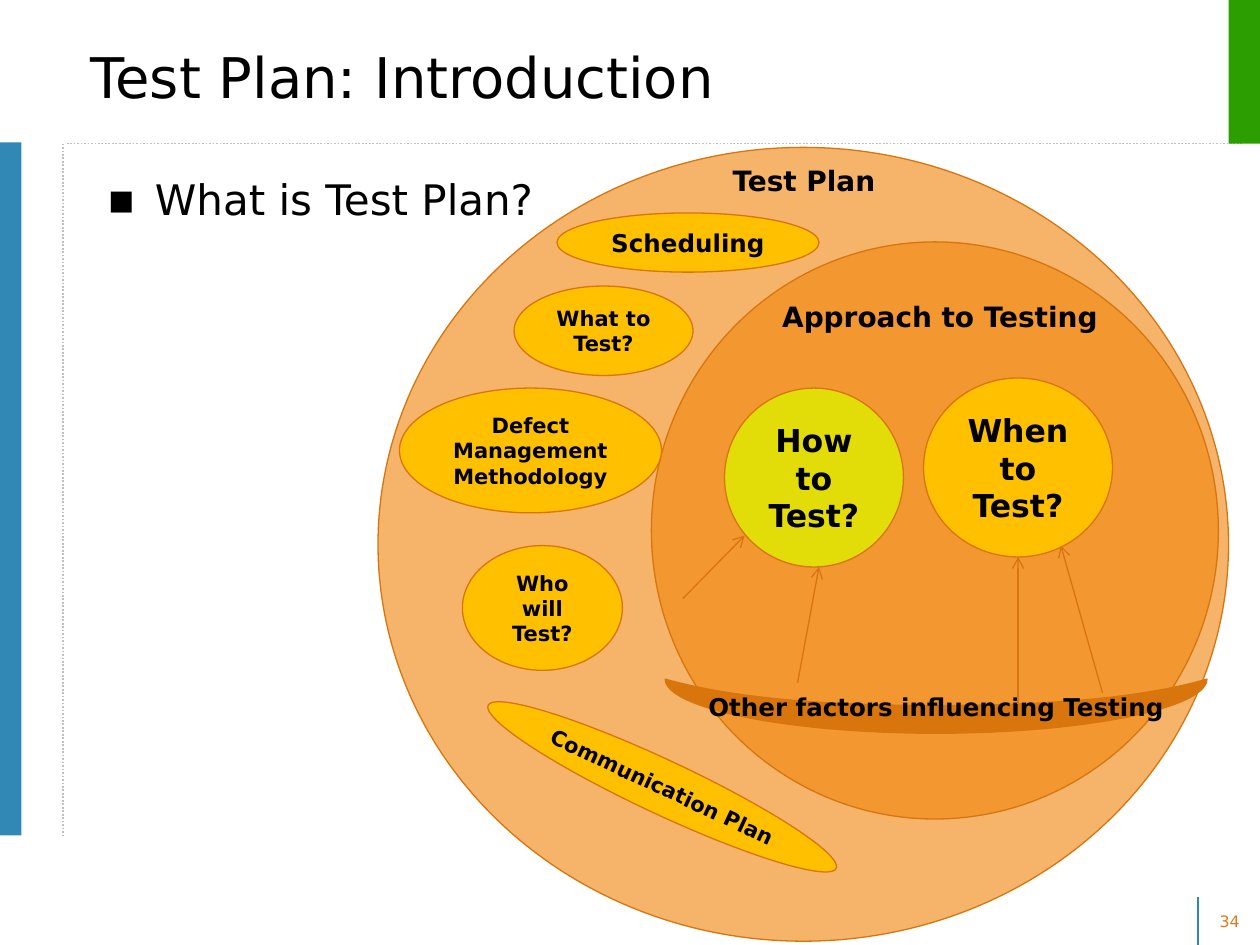
from pptx import Presentation
from pptx import util as u
from pptx.dml.color import RGBColor
from pptx.enum import dml, shapes, text
from pptx.oxml import ns, xmlchemy

HUES = {
    "blue": "3188B4", "green": "2D9E01", "grey": "C0C0C0", "peach": "F6B36A",
    "orange": "F39731", "rust": "D8750D", "gold": "FFC000", "lime": "E2DD09",
    "black": "000000", "page": "DF7A1C",
}
FONT = "DejaVu Sans"
TITLE = ("Test Plan: Introduction", (0.62, 0.27, 8.17, 0.67), 32)
BODY = ("What is Test Plan?", (0.75, 1.33, 8.83, 1), 24)
BARS = [((0, 1.13, 0.17, 5.5), "blue"), ((9.75, 0, 0.25, 1.14), "green")]
RULES = [
    ((9.51, 7.5, 9.51, 7.12), "blue", False),
    ((0.53, 1.14, 9.86, 1.14), "grey", True),
    ((0.5, 1.14, 0.5, 6.64), "grey", True),
]
OVALS = [
    ("", (3, 1.17, 6.75, 6.3), "peach", 12, 0),
    ("", (5.17, 1.92, 4.5, 4.58), "orange", 12, 0),
    ("What to Test?", (4.08, 2.27, 1.42, 0.71), "gold", 12, 0),
    ("How to Test?", (5.75, 3.08, 1.42, 1.42), "lime", 18, 0),
    ("Who will Test?", (3.67, 4.33, 1.27, 0.99), "gold", 12, 0),
    ("When to Test?", (7.33, 3, 1.5, 1.42), "gold", 18, 0),
    ("Scheduling", (4.42, 1.69, 2.08, 0.47), "gold", 14, 0),
    ("Defect\nManagement\nMethodology", (3.17, 3.08, 2.08, 0.99), "gold", 12, 0),
    ("Communication Plan", (3.73, 6.03, 3.05, 0.43), "gold", 12, 25.1),
]
LABELS = [
    ("Test Plan", (4.92, 1.25, 2.92, 0.5), 16, True, "black"),
    ("Approach to Testing", (6, 2.33, 2.92, 0.5), 16, True, "black"),
    ("34", (9.56, 7.19, 0.4, 0.25), 9, False, "page"),
]
MOON = "Other factors influencing Testing"
CURVES = [
    ((5.28, 5.39), (5.67, 5.5), (6.29, 5.6), (7.43, 5.6)),
    ((7.43, 5.6), (8.57, 5.6), (9.2, 5.5), (9.58, 5.39)),
    ((9.58, 5.39), (9.58, 5.62), (8.61, 5.82), (7.43, 5.82)),
    ((7.43, 5.82), (6.25, 5.82), (5.28, 5.62), (5.28, 5.39)),
]
ARROWS = [
    (5.42, 4.75, 5.91, 4.25),
    (6.33, 5.42, 6.5, 4.5),
    (8.08, 5.59, 8.08, 4.42),
    (8.75, 5.5, 8.42, 4.33),
]


def rgb(hue):
    return RGBColor.from_string(HUES[hue])


def inch(nums):
    return [u.Inches(n) for n in nums]


def add(node, tag, **attrs):
    kid = xmlchemy.OxmlElement(tag)
    for key, val in attrs.items():
        kid.set(key, val)
    node.append(kid)


def write(shape, words, size, bold=False, hue="black", mid=True, wrap=True,
          side=text.PP_ALIGN.CENTER):
    frame = shape.text_frame
    frame.text = words
    frame.word_wrap = wrap
    frame.auto_size = text.MSO_AUTO_SIZE.NONE
    frame.vertical_anchor = text.MSO_ANCHOR.MIDDLE if mid else text.MSO_ANCHOR.TOP
    for para in frame.paragraphs:
        para.alignment = side
        para.space_before = u.Pt(0)
        font = para.font
        font.name, font.size, font.bold = FONT, u.Pt(size), bold
        font.color.rgb = rgb(hue)


def paint(shape, fill, edge=None):
    shape.shadow.inherit = False
    shape.fill.solid()
    shape.fill.fore_color.rgb = rgb(fill)
    if edge:
        shape.line.color.rgb = rgb(edge)
        shape.line.width = u.Pt(0.75)
    else:
        shape.line.fill.background()


def rule(slide, ends, hue, width, dots=False, head=False):
    link = slide.shapes.add_connector(shapes.MSO_CONNECTOR.STRAIGHT, *inch(ends))
    link.line.color.rgb = rgb(hue)
    link.line.width = u.Pt(width)
    if dots:
        link.line.dash_style = dml.MSO_LINE.ROUND_DOT
    props = link.element.spPr
    if head:
        add(props.find(ns.qn("a:ln")), "a:tailEnd", type="arrow")
    add(props, "a:effectLst")


def hold(shape, box):
    shape.left, shape.top, shape.width, shape.height = inch(box)


def bend(curve, t):
    mix = ((1 - t) ** 3, 3 * t * (1 - t) ** 2, 3 * t * t * (1 - t), t ** 3)
    return [u.Inches(sum(m * p[axis] for m, p in zip(mix, curve))) for axis in (0, 1)]


def moon(slide, steps=24):
    dots = [bend(curve, n / steps) for curve in CURVES for n in range(steps)]
    pen = slide.shapes.build_freeform(*dots[0])
    pen.add_line_segments(dots[1:], close=True)
    shape = pen.convert_to_shape()
    paint(shape, "rust", "rust")
    write(shape, MOON, 14, True)


def main():
    """Build the test plan slide."""
    deck = Presentation()
    deck.slide_width, deck.slide_height = inch((10, 7.5))
    slide = deck.slides.add_slide(deck.slide_layouts[1])
    left = text.PP_ALIGN.LEFT

    words, box, size = TITLE
    hold(slide.shapes.title, box)
    write(slide.shapes.title, words, size, side=left)

    words, box, size = BODY
    body = slide.placeholders[1]
    hold(body, box)
    body.text_frame.text = words
    props = body.text_frame.paragraphs[0]._p.get_or_add_pPr()
    props.set("marL", str(u.Inches(0.38)))
    props.set("indent", str(-u.Inches(0.38)))
    add(props, "a:buFont", typeface=FONT)
    add(props, "a:buChar", char="▪")
    bullet = list(props)
    write(body, words, size, mid=False, side=left)
    props = body.text_frame.paragraphs[0]._p.get_or_add_pPr()
    if props.find(ns.qn("a:buChar")) is None:
        props.set("marL", str(u.Inches(0.38)))
        props.set("indent", str(-u.Inches(0.38)))
        spot = props.find(ns.qn("a:defRPr"))
        for kid in bullet:
            spot.addprevious(kid)

    for ends, hue, dots in RULES:
        rule(slide, ends, hue, 1, dots)
    for box, hue in BARS:
        bar = slide.shapes.add_shape(shapes.MSO_SHAPE.RECTANGLE, *inch(box))
        paint(bar, hue)
    for words, box, hue, size, turn in OVALS:
        oval = slide.shapes.add_shape(shapes.MSO_SHAPE.OVAL, *inch(box))
        paint(oval, hue, "rust")
        oval.rotation = turn
        if words:
            write(oval, words, size, True, wrap=not turn)
    moon(slide)
    for ends in ARROWS:
        rule(slide, ends, "rust", 0.75, head=True)
    for words, box, size, bold, hue in LABELS:
        label = slide.shapes.add_textbox(*inch(box))
        write(label, words, size, bold, hue, mid=False)
    deck.save("out.pptx")


if __name__ == "__main__":
    main()
